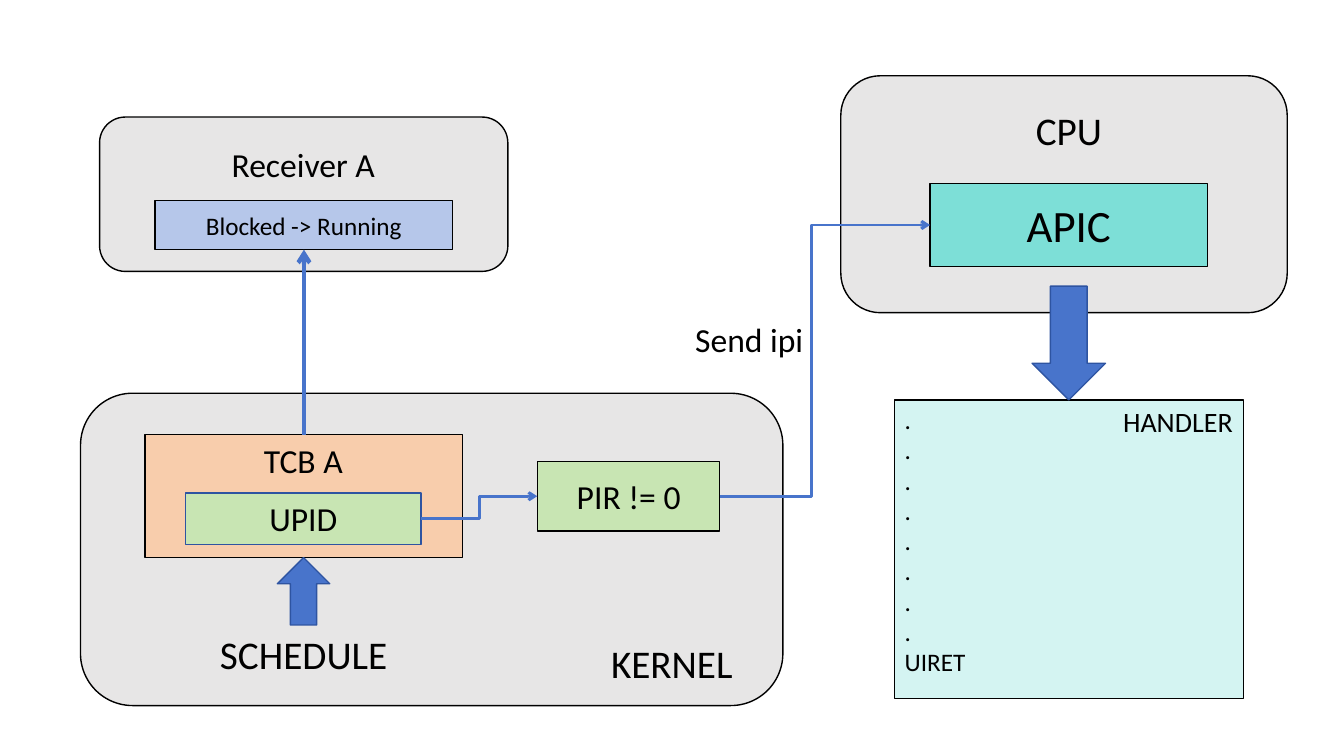
"""Build a slide showing how a blocked receiver is woken by an inter-processor interrupt."""
from dataclasses import dataclass

from lxml.etree import SubElement
from pptx import Presentation
from pptx.dml.color import RGBColor
from pptx.enum.shapes import MSO_CONNECTOR, MSO_SHAPE
from pptx.enum.text import MSO_ANCHOR, MSO_AUTO_SIZE, PP_ALIGN
from pptx.oxml.ns import qn
from pptx.util import Cm, Pt


@dataclass(frozen=True)
class Theme:
    font: str = "Calibri"
    ink: str = "000000"
    panel: str = "E7E6E6"
    state: str = "B6C7EA"
    task: str = "F8CDAC"
    check: str = "C8E5B3"
    apic: str = "7DDFD7"
    handler: str = "D4F4F2"
    arrow: str = "4874CB"
    arrow_edge: str = "2E54A1"
    small: int = 18
    handler_size: int = 20
    medium: int = 24
    large: int = 28
    huge: int = 32


theme = Theme()
deck = Presentation()
deck.slide_width, deck.slide_height = Cm(33.87), Cm(19.05)
page = deck.slides.add_slide(deck.slide_layouts[6])

PANEL = MSO_SHAPE.FLOWCHART_ALTERNATE_PROCESS
PROCESS = MSO_SHAPE.FLOWCHART_PROCESS
shape_rows = [
    ("receiver", PANEL, (2.51, 2.95, 10.29, 3.89), theme.panel, theme.ink),
    ("kernel", MSO_SHAPE.ROUNDED_RECTANGLE, (2.03, 9.91, 17.7, 7.87), theme.panel, theme.ink),
    ("cpu", PANEL, (21.19, 1.91, 11.25, 5.97), theme.panel, theme.ink),
    ("state", PROCESS, (3.91, 5.05, 7.5, 1.24), theme.state, theme.ink),
    ("tcb", PROCESS, (3.66, 10.95, 8, 3.1), theme.task, theme.ink),
    ("upid", PROCESS, (4.67, 12.42, 5.94, 1.3), theme.check, theme.arrow_edge),
    ("schedule arrow", MSO_SHAPE.UP_ARROW, (6.99, 14.05, 1.32, 1.7), theme.arrow, theme.arrow_edge),
    ("pir", PROCESS, (13.54, 11.63, 4.6, 1.75), theme.check, theme.ink),
    ("handler", PROCESS, (22.55, 10.08, 8.79, 7.52), theme.handler, theme.ink),
    ("apic", PROCESS, (23.44, 4.63, 6.99, 2.08), theme.apic, theme.ink),
    ("handler arrow", MSO_SHAPE.DOWN_ARROW, (26.01, 7.21, 1.85, 2.87), theme.arrow, theme.arrow_edge),
]
shapes = {}
for key, kind, place, fill, edge in shape_rows:
    shape = page.shapes.add_shape(kind, *map(Cm, place))
    shape.shadow.inherit = False
    shape.fill.solid()
    shape.fill.fore_color.rgb = RGBColor.from_string(fill)
    shape.line.color.rgb = RGBColor.from_string(edge)
    shape.line.width = Pt(1)
    shapes[key] = shape

TOP, LEFT, BOTTOM, RIGHT = range(4)
connector_rows = [
    ("upid", RIGHT, "pir", LEFT, MSO_CONNECTOR.ELBOW, 2, 50000),
    ("pir", RIGHT, "apic", LEFT, MSO_CONNECTOR.ELBOW, 2, 43500),
    ("tcb", TOP, "state", BOTTOM, MSO_CONNECTOR.STRAIGHT, 3, None),
]
for source_key, source_side, target_key, target_side, kind, weight, bend in connector_rows:
    source, target = shapes[source_key], shapes[target_key]
    connector = page.shapes.add_connector(kind, source.left, source.top, target.left, target.top)
    connector.begin_connect(source, source_side)
    connector.end_connect(target, target_side)
    connector.line.color.rgb = RGBColor.from_string(theme.arrow)
    connector.line.width = Pt(weight)
    properties = connector.element.spPr
    SubElement(properties.find(qn("a:ln")), qn("a:tailEnd"), type="arrow")
    SubElement(properties, qn("a:effectLst"))
    if bend:
        guides = properties.find(qn("a:prstGeom")).find(qn("a:avLst"))
        SubElement(guides, qn("a:gd"), name="adj1", fmla=f"val {bend}")

CENTER, START, END = PP_ALIGN.CENTER, PP_ALIGN.LEFT, PP_ALIGN.RIGHT
UPPER, MIDDLE = MSO_ANCHOR.TOP, MSO_ANCHOR.MIDDLE
label_rows = [
    (["Receiver A"], (5.18, 3.49, 4.93, 1.27), theme.medium, CENTER, UPPER),
    (["Blocked -> Running"], (4.72, 5.05, 5.87, 1.24), theme.small, CENTER, MIDDLE),
    (["TCB A"], (5.56, 10.95, 4.17, 1.27), theme.medium, CENTER, UPPER),
    (["UPID"], (6.16, 12.42, 2.97, 1.27), theme.medium, CENTER, UPPER),
    (["SCHEDULE"], (3.65, 15.77, 8, 1.45), theme.large, CENTER, UPPER),
    (["PIR != 0"], (14.13, 11.63, 3.43, 1.75), theme.medium, CENTER, MIDDLE),
    (["KERNEL"], (14.96, 15.98, 3.94, 1.45), theme.large, CENTER, UPPER),
    (["CPU"], (24.97, 2.56, 3.94, 1.45), theme.large, CENTER, UPPER),
    (["APIC"], (25.18, 4.63, 3.51, 2.08), theme.huge, CENTER, MIDDLE),
    (["Send ipi"], (17.27, 7.9, 3.94, 1.27), theme.medium, START, UPPER),
    (["."] * 8 + ["UIRET"], (22.55, 10.07, 8.79, 7.52), theme.small, START, UPPER),
    (["HANDLER"], (27.71, 10.08, 3.61, 1.12), theme.handler_size, END, UPPER),
]
for lines, place, size, alignment, anchor in label_rows:
    box = page.shapes.add_textbox(*map(Cm, place))
    frame = box.text_frame
    frame.word_wrap = True
    frame.auto_size = MSO_AUTO_SIZE.NONE
    frame.vertical_anchor = anchor
    for index, line in enumerate(lines):
        para = frame.add_paragraph() if index else frame.paragraphs[0]
        para.alignment = alignment
        span = para.add_run()
        span.text = line
        span.font.name = theme.font
        span.font.size = Pt(size)
        span.font.color.rgb = RGBColor.from_string(theme.ink)

deck.save("out.pptx")
